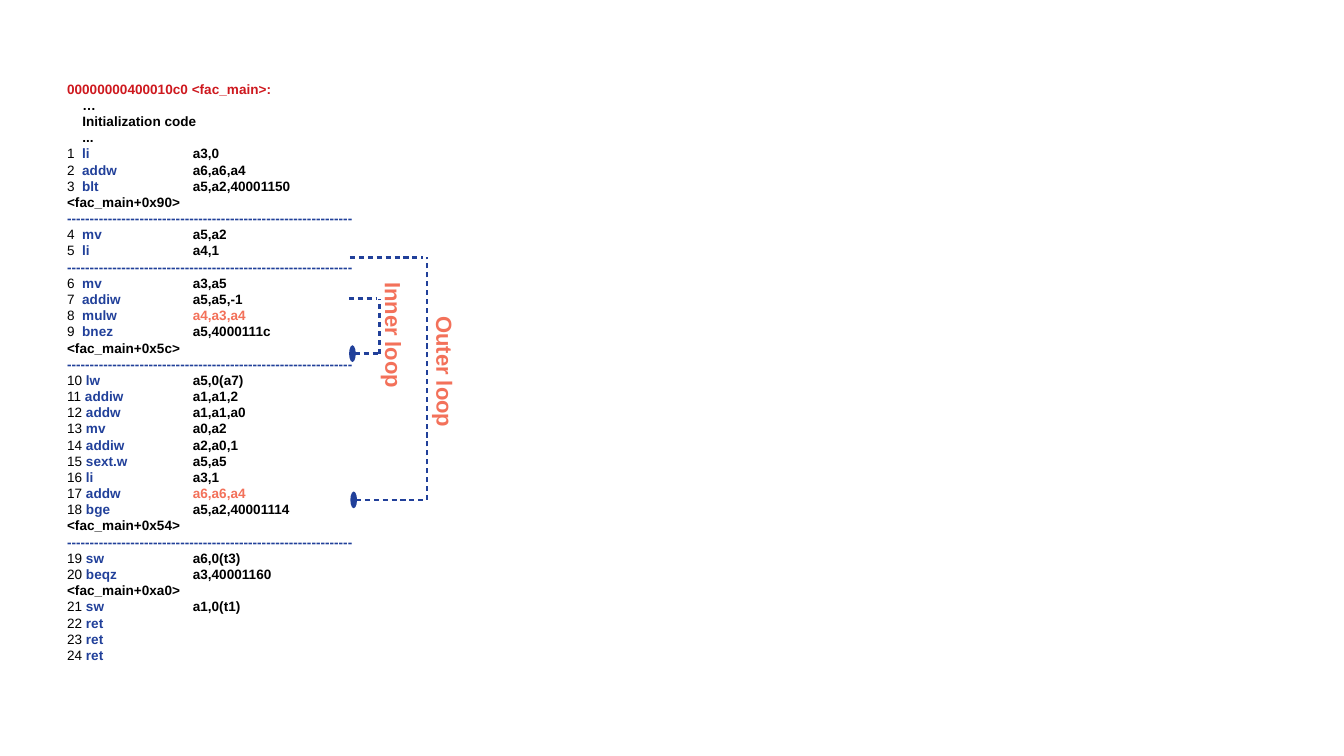
from lxml import etree
from pptx import Presentation
from pptx.dml.color import RGBColor
from pptx.enum.shapes import MSO_CONNECTOR, MSO_SHAPE
from pptx.enum.text import MSO_ANCHOR, MSO_AUTO_SIZE, PP_ALIGN
from pptx.oxml.ns import qn
from pptx.util import Inches, Pt

RED = RGBColor(0xCE, 0x18, 0x1E)
BLUE = RGBColor(0x21, 0x40, 0x9A)
CORAL = RGBColor(0xF3, 0x71, 0x5A)
BLACK = RGBColor(0, 0, 0)

PREAMBLE = ["…", "Initialization code", "..."]
BLOCKS = [
    [("li", "a3,0"), ("addw", "a6,a6,a4"), ("blt", "a5,a2,40001150 <fac_main+0x90>")],
    [("mv", "a5,a2"), ("li", "a4,1")],
    [("mv", "a3,a5"), ("addiw", "a5,a5,-1"), ("mulw", "a4,a3,a4"),
     ("bnez", "a5,4000111c <fac_main+0x5c>")],
    [("lw", "a5,0(a7)"), ("addiw", "a1,a1,2"), ("addw", "a1,a1,a0"), ("mv", "a0,a2"),
     ("addiw", "a2,a0,1"), ("sext.w", "a5,a5"), ("li", "a3,1"), ("addw", "a6,a6,a4"),
     ("bge", "a5,a2,40001114 <fac_main+0x54>")],
    [("sw", "a6,0(t3)"), ("beqz", "a3,40001160 <fac_main+0xa0>"), ("sw", "a1,0(t1)"),
     ("ret", ""), ("ret", ""), ("ret", "")],
]
HIGHLIGHTED = {8, 17}


def add_run(paragraph, text, size, color, bold=True):
    run = paragraph.add_run()
    run.text = text
    run.font.name = "Arial"
    run.font.size = Pt(size)
    run.font.bold = bold
    run.font.color.rgb = color


presentation = Presentation()
presentation.slide_width = Inches(11.02)
presentation.slide_height = Inches(6.2)
slide = presentation.slides.add_slide(presentation.slide_layouts[0])
title = slide.shapes.title.element
title.getparent().remove(title)

# Assembly listing
listing = slide.placeholders[1]
listing.left, listing.top = Inches(0.55), Inches(0.37)
listing.width, listing.height = Inches(2.35), Inches(5.76)
code = listing.text_frame
code.word_wrap = True
code.auto_size = MSO_AUTO_SIZE.NONE
code.vertical_anchor = MSO_ANCHOR.MIDDLE
code.margin_left = code.margin_right = code.margin_top = 0
code.margin_bottom = Inches(0.4)

add_run(code.paragraphs[0], "00000000400010c0 <fac_main>:", 8, RED)
for text in PREAMBLE:
    preamble_line = code.add_paragraph()
    add_run(preamble_line, text, 8, BLACK)
    preamble_line._p.get_or_add_pPr().set("marL", str(Inches(0.125)))

number = 0
for block in BLOCKS:
    if number:
        add_run(code.add_paragraph(), "-" * 63, 8, BLUE)
    for operation, operands in block:
        number += 1
        instruction = code.add_paragraph()
        gap = "  " if number < 10 else " "
        add_run(instruction, str(number), 8, BLACK, bold=False)
        add_run(instruction, gap + operation + ("\t" if operands else ""), 8, BLUE)
        if operands:
            color = CORAL if number in HIGHLIGHTED else BLACK
            add_run(instruction, " " + operands, 8, color)

for line in code.paragraphs:
    line.alignment = PP_ALIGN.LEFT
    line.line_spacing = Pt(9.55)
    line.space_before = line.space_after = Pt(0)
    line._p.get_or_add_pPr().set("defTabSz", str(Inches(1)))

# Loop brackets: start x, right x, top y, bottom y
for start, right, top, bottom in [(2.89, 3.11, 2.45, 2.9), (2.9, 3.5, 2.11, 4.1)]:
    sides = [(start, bottom, right, bottom),
             (right, bottom, right, top),
             (start - 0.03, top, right - 0.03, top)]
    for side, ends in enumerate(sides):
        connector = slide.shapes.add_connector(
            MSO_CONNECTOR.STRAIGHT, *[Inches(value) for value in ends])
        connector.line.color.rgb = BLUE
        connector.line.width = Pt(1.5)
        outline = connector.line._get_or_add_ln()
        dashes = etree.SubElement(outline, qn("a:custDash"))
        etree.SubElement(dashes, qn("a:ds"), d="200000", sp="150000")
        if side == 0:
            etree.SubElement(outline, qn("a:headEnd"), type="oval", w="lg", len="sm")
        etree.SubElement(connector._element.spPr, qn("a:effectLst"))

# Loop labels
for text, left, top, height in [("Inner loop", 2.68, 2.35, 0.8),
                                ("Outer loop", 3.1, 2.7, 0.7)]:
    label = slide.shapes.add_shape(
        MSO_SHAPE.OVAL, Inches(left), Inches(top), Inches(1.1), Inches(height))
    label.rotation = 89.8
    label.shadow.inherit = False
    label.fill.background()
    label.line.fill.background()
    label.text_frame.word_wrap = False
    label.text_frame.vertical_anchor = MSO_ANCHOR.MIDDLE
    caption = label.text_frame.paragraphs[0]
    caption.alignment = PP_ALIGN.CENTER
    add_run(caption, text, 13, CORAL)

presentation.save("out.pptx")
